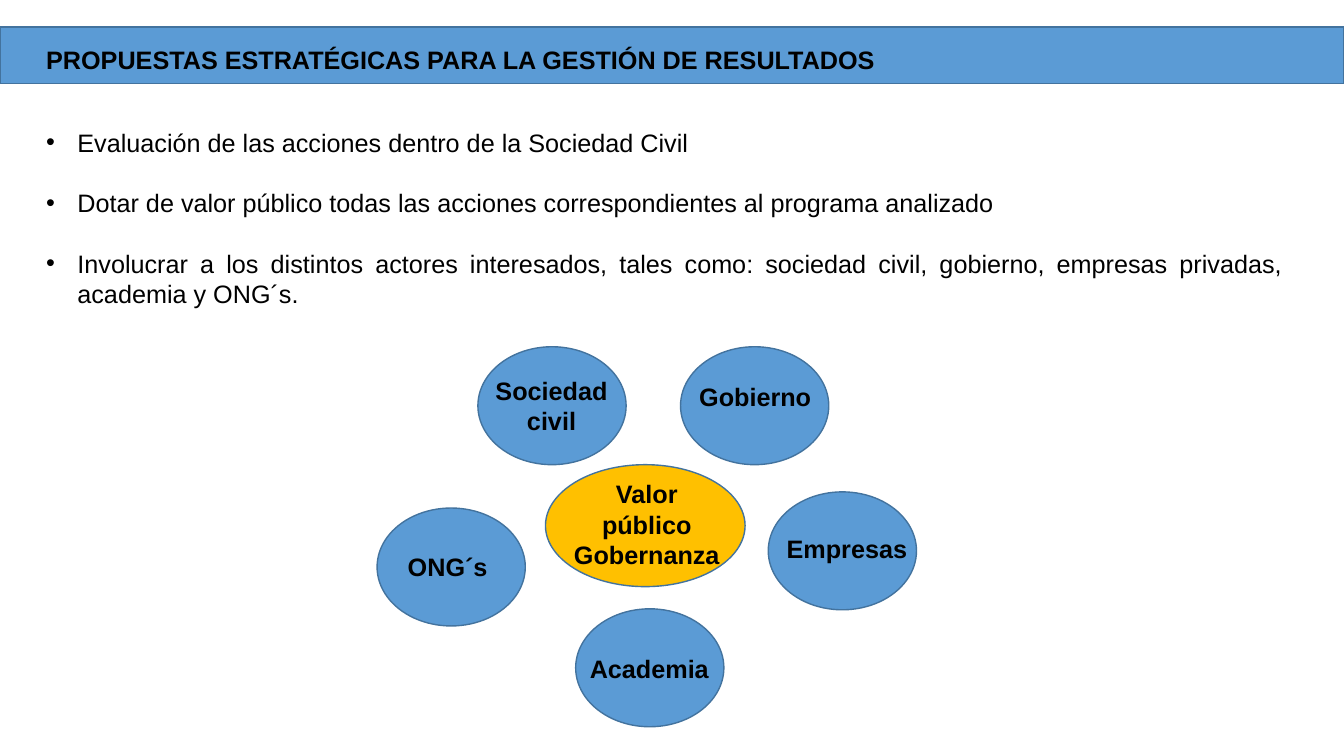
from dataclasses import dataclass

from lxml.etree import SubElement
from pptx import Presentation
from pptx.dml.color import RGBColor
from pptx.enum.shapes import MSO_SHAPE as Shape
from pptx.enum.text import PP_ALIGN as Align
from pptx.oxml.ns import qn
from pptx.util import Inches, Pt


@dataclass(frozen=True)
class Theme:
    font: str = "Arial"
    size: float = 18
    text: str = "000000"
    blue: str = "5B9BD5"
    gold: str = "FFC000"
    outline: str = "43739E"
    outline_width: float = 1
    bullet_gap: float = 21.6
    bullet_indent: float = 0.31


THEME = Theme()


def add_filled(page, kind, box, color):
    shape = page.shapes.add_shape(kind, *map(Inches, box))
    shape.shadow.inherit = False
    shape.fill.solid()
    shape.fill.fore_color.rgb = RGBColor.from_string(color)
    shape.line.color.rgb = RGBColor.from_string(THEME.outline)
    shape.line.width = Pt(THEME.outline_width)


def add_bullet(para):
    props = para._p.get_or_add_pPr()
    indent = Inches(THEME.bullet_indent)
    props.set("marL", str(indent))
    props.set("indent", str(-indent))
    SubElement(props, qn("a:buFont"), typeface=THEME.font)
    SubElement(props, qn("a:buChar"), char="•")


def add_text(page, box, lines, align, bold=False, bullets=False):
    frame = page.shapes.add_textbox(*map(Inches, box)).text_frame
    frame.word_wrap = True
    font_format = {"name": THEME.font, "size": Pt(THEME.size), "bold": bold}
    for index, line in enumerate(lines):
        para = frame.paragraphs[0] if index == 0 else frame.add_paragraph()
        para.alignment = align
        if bullets:
            if index:
                para.space_before = Pt(THEME.bullet_gap)
            add_bullet(para)
        span = para.add_run()
        span.text = line
        for name, value in font_format.items():
            setattr(span.font, name, value)
        span.font.color.rgb = RGBColor.from_string(THEME.text)


# Title band across the page
def add_title_band(page, box, title):
    left, top, width, height = box
    add_filled(page, Shape.RECTANGLE, box, THEME.blue)
    add_text(page, (left + 0.36, top + 0.12, 9, 0.4), [title],
             Align.JUSTIFY, bold=True)


# Bulleted proposals
def add_proposals(page, box, proposals):
    add_text(page, box, proposals, Align.JUSTIFY, bullets=True)


# Actors around the central value
def add_actor_diagram(page, box, actors, center):
    left, top, width, height = box
    actor_size, center_size = (1.47, 1.17), (1.98, 1.21)
    nodes = [(actor, actor_size, THEME.blue) for actor in actors]
    nodes.append((center, center_size, THEME.gold))
    for (lines, (x, y), label), size, color in nodes:
        x, y = left + x, top + y
        add_filled(page, Shape.OVAL, (x, y, *size), color)
        shift_x, shift_y, label_width, label_height = label
        add_text(page, (x + shift_x, y + shift_y, label_width, label_height),
                 lines, Align.CENTER, bold=True)


# Each node: lines, offset in the diagram, label box within the oval
ACTORS = [
    (["Sociedad civil"], (1, 0), (0.07, 0.23, 1.32, 0.71)),
    (["Gobierno"], (3.01, 0), (0.08, 0.29, 1.32, 0.4)),
    (["Empresas"], (3.88, 1.44), (0.08, 0.36, 1.4, 0.4)),
    (["ONG´s"], (0, 1.6), (0, 0.38, 1.4, 0.4)),
    (["Academia"], (1.97, 2.6), (0.03, 0.39, 1.4, 0.4)),
]
CENTER = (["Valor público", "Gobernanza"], (1.67, 1.17),
          (0.18, 0.09, 1.65, 1.01))
PROPOSALS = [
    "Evaluación de las acciones dentro de la Sociedad Civil",
    "Dotar de valor público todas las acciones correspondientes al programa "
    "analizado",
    "Involucrar a los distintos actores interesados, tales como: sociedad "
    "civil, gobierno, empresas privadas, academia y ONG´s.",
]


def main():
    deck = Presentation()
    deck.slide_width, deck.slide_height = Inches(13.33), Inches(7.5)
    page = deck.slides.add_slide(deck.slide_layouts[6])
    add_title_band(page, (0, 0.27, 13.33, 0.56),
                   "PROPUESTAS ESTRATÉGICAS PARA LA GESTIÓN DE RESULTADOS")
    add_proposals(page, (0.36, 1.21, 12.46, 1.92), PROPOSALS)
    add_actor_diagram(page, (3.74, 3.44, 5.35, 3.77), ACTORS, CENTER)
    deck.save("out.pptx")


if __name__ == "__main__":
    main()
